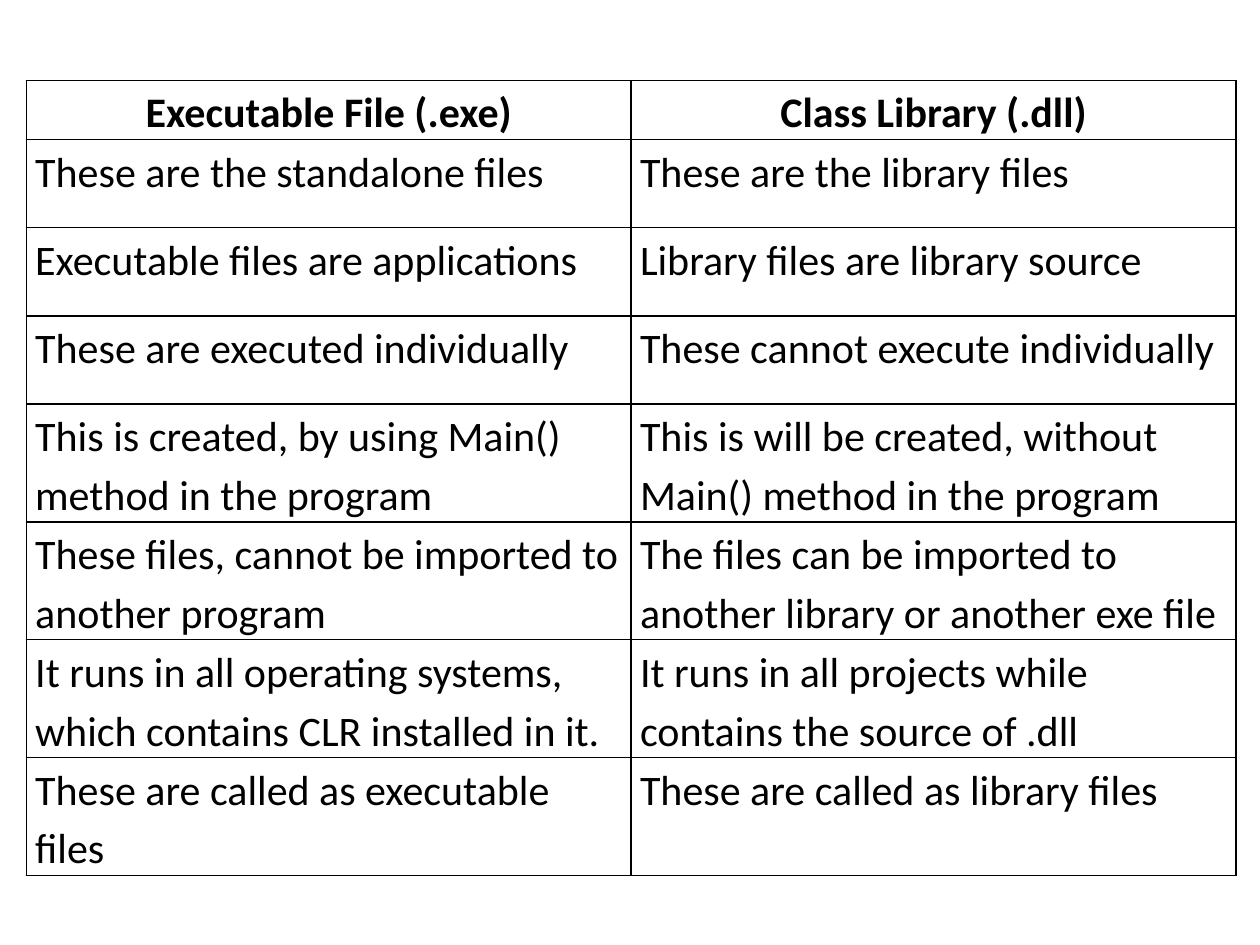
from lxml.etree import SubElement as Sub
from pptx import Presentation as Deck
from pptx.dml.color import RGBColor as Rgb
from pptx.enum.text import PP_ALIGN as Align
from pptx.oxml.ns import qn
from pptx.util import Inches, Pt

COLORS = {"ink": "000000", "rule": "000000"}
WIDE, HIGH = 10, 7.5
HEADS = [0.47] + [0.7] * 6 + [0.47]
ROWS = [
    ("Executable File (.exe)", "Class Library (.dll)"),
    ("These are the standalone files", "These are the library files"),
    ("Executable files are applications", "Library files are library source"),
    ("These are executed individually", "These cannot execute individually"),
    ("This is created, by using Main() method in the program",
     "This is will be created, without Main() method in the program"),
    ("These files, cannot be imported to another program",
     "The files can be imported to another library or another exe file"),
    ("It runs in all operating systems, which contains CLR installed in it.",
     "It runs in all projects while contains the source of .dll"),
    ("These are called as executable files", "These are called as library files"),
]


def write(frame, text, size=24, bold=False, align=Align.LEFT, color="ink"):
    """Put formatted text in a text frame."""
    para = frame.paragraphs[0]
    para.alignment = align
    para.line_spacing = 1.15
    run = para.add_run()
    run.text = text
    font = run.font
    font.name, font.size, font.bold = "Calibri", Pt(size), bold
    font.color.rgb = Rgb.from_string(COLORS[color])


def edge(cell, width=1):
    """Draw a solid rule on all four sides of a cell."""
    props = cell._tc.get_or_add_tcPr()
    for side in ("lnL", "lnR", "lnT", "lnB"):
        line = Sub(props, qn(f"a:{side}"), w=str(Pt(width)))
        fill = Sub(line, qn("a:solidFill"))
        Sub(fill, qn("a:srgbClr"), val=COLORS["rule"])


def style(cell):
    """Set the margins, rules and empty fill of a cell."""
    cell.margin_left = cell.margin_right = Inches(0.07)
    cell.margin_top = cell.margin_bottom = 0
    edge(cell)
    cell.fill.background()


def grid(slide, rows, left, top, width, height):
    """Add the comparison table with equal columns."""
    cols = len(rows[0])
    box = [Inches(size) for size in (left, top, width, height)]
    shape = slide.shapes.add_table(len(rows), cols, *box)
    table = shape.table
    table.first_row = table.horz_banding = False
    for col in table.columns:
        col.width = Inches(width / cols)
    for row, tall in zip(table.rows, HEADS):
        row.height = Inches(tall)
    shape.height = Inches(height)
    for r, texts in enumerate(rows):
        head = r == 0
        for c, text in enumerate(texts):
            cell = table.cell(r, c)
            style(cell)
            write(cell.text_frame, text, bold=head,
                  align=Align.CENTER if head else Align.LEFT)


def main():
    """Build and save the slide."""
    deck = Deck()
    deck.slide_width, deck.slide_height = Inches(WIDE), Inches(HIGH)
    slide = deck.slides.add_slide(deck.slide_layouts[6])
    grid(slide, ROWS, 0.021 * WIDE, 0.085 * HIGH, 0.96 * WIDE, 0.864 * HIGH)
    deck.save("out.pptx")


if __name__ == "__main__":
    main()
